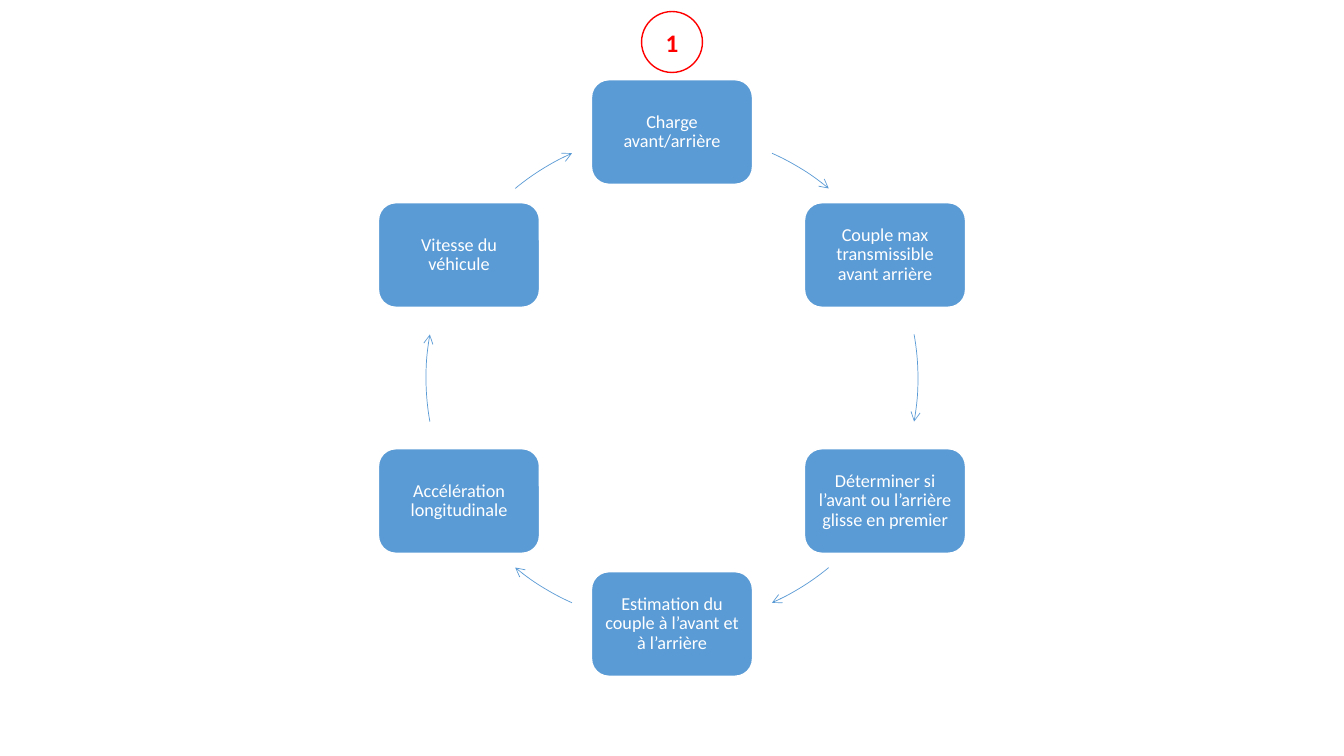
"""Build a slide showing the six-step cycle of a vehicle's load and speed calculation."""
import math

import lxml.etree
import pptx
import pptx.dml.color
import pptx.enum.shapes
import pptx.enum.text
import pptx.oxml.ns
import pptx.util

Pt = pptx.util.Pt
SHAPES = pptx.enum.shapes.MSO_SHAPE
COLORS = {"blue": "5B9BD5", "white": "FFFFFF", "red": "FF0000"}
FONT = "Calibri"
CENTER_X, CENTER_Y, RADIUS = 480, 270, 175.7
STEP_WIDTH, STEP_HEIGHT = 115, 74.7
BADGE_SIZE, BADGE_Y = 43.5, 30
STEPS = [
    "Charge avant/arrière",
    "Couple max transmissible avant arrière",
    "Déterminer si l’avant ou l’arrière glisse en premier",
    "Estimation du couple à l’avant et à l’arrière",
    "Accélération longitudinale",
    "Vitesse du véhicule",
]
ARROW_ANGLES = [(24, 39.6), (79.8, 100.2), (140.4, 156),
                (204, 219.6), (259.8, 280.2), (320.4, 336)]


def color(name):
    return pptx.dml.color.RGBColor.from_string(COLORS[name])


def add_centered_shape(slide, kind, x, y, width, height, fill, line, line_width):
    shape = slide.shapes.add_shape(
        kind, Pt(x - width / 2), Pt(y - height / 2), Pt(width), Pt(height))
    shape.shadow.inherit = False
    if fill:
        shape.fill.solid()
        shape.fill.fore_color.rgb = color(fill)
    else:
        shape.fill.background()
    shape.line.color.rgb = color(line)
    shape.line.width = Pt(line_width)
    return shape


def write_text(shape, text, size, font_color, margin, bold=False, line_spacing=1.0):
    frame = shape.text_frame
    frame.word_wrap = True
    frame.vertical_anchor = pptx.enum.text.MSO_ANCHOR.MIDDLE
    frame.margin_left = frame.margin_right = Pt(margin)
    frame.margin_top = frame.margin_bottom = Pt(3.6)
    paragraph = frame.paragraphs[0]
    paragraph.text = text
    paragraph.alignment = pptx.enum.text.PP_ALIGN.CENTER
    paragraph.line_spacing = line_spacing
    paragraph.font.name = FONT
    paragraph.font.size = Pt(size)
    paragraph.font.bold = bold
    paragraph.font.color.rgb = color(font_color)


def add_step(slide, text, angle):
    x = CENTER_X + RADIUS * math.sin(math.radians(angle))
    y = CENTER_Y - RADIUS * math.cos(math.radians(angle))
    step = add_centered_shape(slide, SHAPES.ROUNDED_RECTANGLE, x, y,
                              STEP_WIDTH, STEP_HEIGHT, "blue", "white", 1)
    write_text(step, text, 13, "white", 3.6, line_spacing=0.9)


def add_arc_arrow(slide, start, end):
    arc = add_centered_shape(slide, SHAPES.ARC, CENTER_X, CENTER_Y,
                             2 * RADIUS, 2 * RADIUS, None, "blue", 0.5)
    for index, angle in enumerate((start, end)):
        arc.adjustments[index] = (angle - 90) % 360 * 0.6
    line = arc.line._get_or_add_ln()
    lxml.etree.SubElement(line, pptx.oxml.ns.qn("a:tailEnd"), type="arrow")


def add_badge(slide, text):
    badge = add_centered_shape(slide, SHAPES.OVAL, CENTER_X, BADGE_Y,
                               BADGE_SIZE, BADGE_SIZE, None, "red", 1)
    write_text(badge, text, 18, "red", 7.2, bold=True)


def main():
    presentation = pptx.Presentation()
    presentation.slide_width, presentation.slide_height = Pt(960), Pt(540)
    slide = presentation.slides.add_slide(presentation.slide_layouts[6])
    for index, (text, angles) in enumerate(zip(STEPS, ARROW_ANGLES)):
        add_step(slide, text, index * 360 / len(STEPS))
        add_arc_arrow(slide, *angles)
    add_badge(slide, "1")
    presentation.save("out.pptx")


main()
